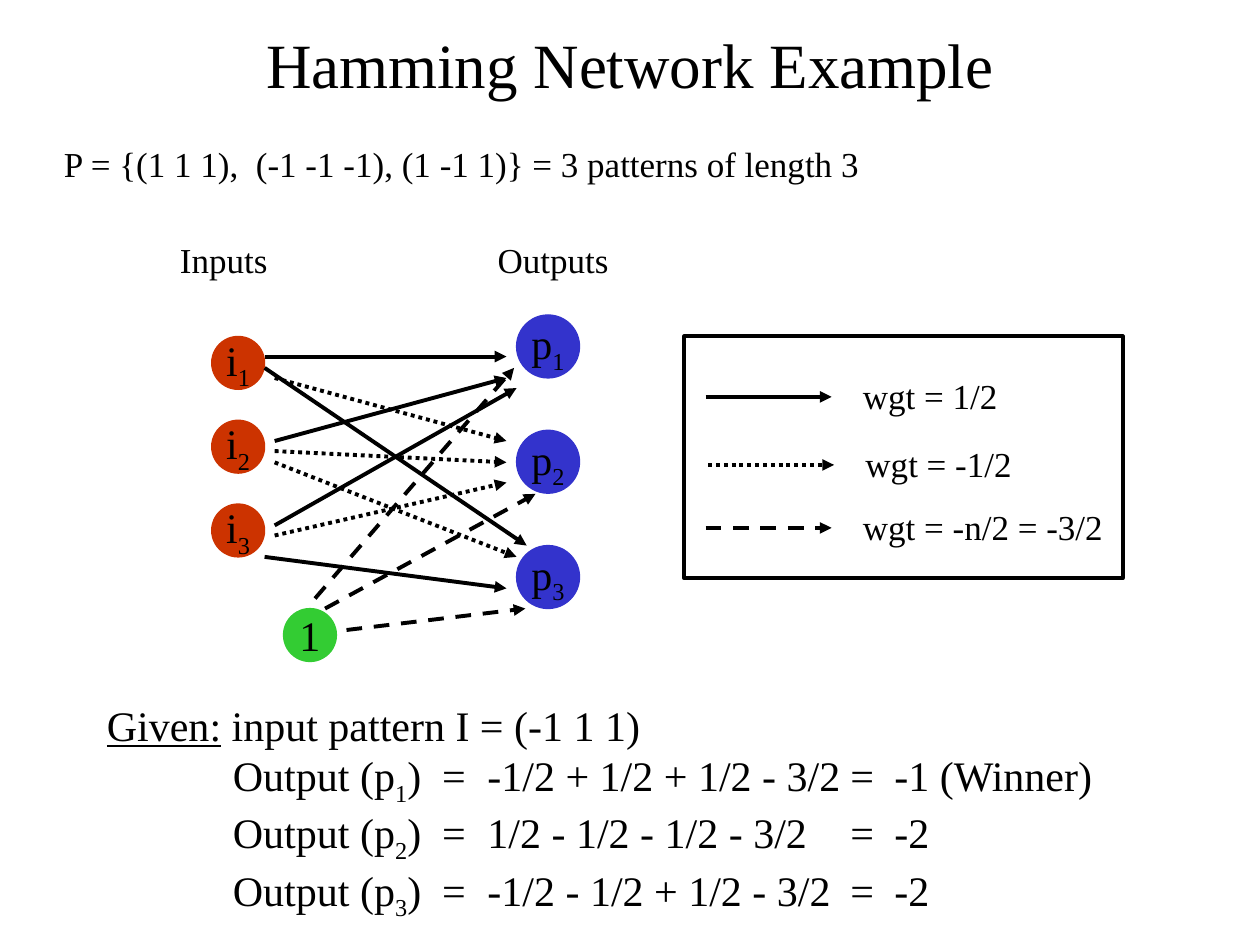
"""Build the Hamming network example slide."""
from pptx import Presentation
from pptx.dml.color import RGBColor
from pptx.enum.dml import MSO_LINE_DASH_STYLE as DASH
from pptx.enum.shapes import MSO_CONNECTOR, MSO_SHAPE
from pptx.enum.text import MSO_ANCHOR, MSO_AUTO_SIZE, PP_ALIGN
from pptx.oxml.ns import qn
from pptx.util import Inches, Pt
from lxml.etree import SubElement

BLACK = RGBColor(0x00, 0x00, 0x00)
RED = RGBColor(0xCC, 0x33, 0x00)
BLUE = RGBColor(0x33, 0x33, 0xCC)
GREEN = RGBColor(0x33, 0xCC, 0x33)
FONT = "Times New Roman"


def add_run(paragraph, text, size, subscript=False):
    run = paragraph.add_run()
    run.text = text
    run.font.name = FONT
    run.font.size = Pt(size)
    run.font.color.rgb = BLACK
    if subscript:
        run._r.get_or_add_rPr().set("baseline", "-25000")
    return run


def add_arrow(start, end, dash):
    points = [Inches(value) for value in (*start, *end)]
    arrow = slide.shapes.add_connector(MSO_CONNECTOR.STRAIGHT, *points)
    arrow.line.color.rgb = BLACK
    arrow.line.width = Pt(2.25)
    if dash:
        arrow.line.dash_style = dash
    SubElement(arrow.line._get_or_add_ln(), qn("a:tailEnd"), type="triangle")
    SubElement(arrow._element.spPr, qn("a:effectLst"))


presentation = Presentation()
presentation.slide_width = Inches(10)
presentation.slide_height = Inches(7.5)
slide = presentation.slides.add_slide(presentation.slide_layouts[5])

title = slide.shapes.title
title.left, title.top = Inches(0.75), Inches(0.25)
title.width, title.height = Inches(8.5), Inches(0.5)
title.text_frame.vertical_anchor = MSO_ANCHOR.MIDDLE
title.text_frame.auto_size = MSO_AUTO_SIZE.NONE
title.text_frame.paragraphs[0].alignment = PP_ALIGN.CENTER
add_run(title.text_frame.paragraphs[0], "Hamming Network Example", 36)

labels = [
    ("P = {(1 1 1),  (-1 -1 -1), (1 -1 1)} = 3 patterns of length 3", 0.41, 1.08, 6.6),
    ("Inputs", 1.33, 1.84, 0.95),
    ("Outputs", 3.85, 1.84, 1.12),
    ("wgt = 1/2", 6.75, 2.92, 1.32),
    ("wgt = -1/2", 6.77, 3.46, 1.42),
    ("wgt = -n/2 = -3/2", 6.75, 3.96, 2.15),
]
for text, left, top, width in labels:
    label = slide.shapes.add_textbox(Inches(left), Inches(top), Inches(width), Inches(0.44))
    label.text_frame.word_wrap = False
    add_run(label.text_frame.paragraphs[0], text, 20)

nodes = [("1", "", 2.25, 4.83, 0.42, GREEN)]
for index in range(3):
    nodes.append(("i", str(index + 1), 1.68, 2.67 + index * 0.665, 0.42, RED))
    nodes.append(("p", str(index + 1), 4.1, 2.5 + index * 0.915, 0.5, BLUE))
for letter, number, left, top, size, color in nodes:
    node = slide.shapes.add_shape(
        MSO_SHAPE.OVAL, Inches(left), Inches(top), Inches(size), Inches(size))
    node.shadow.inherit = False
    node.fill.solid()
    node.fill.fore_color.rgb = color
    node.line.color.rgb = color
    node.line.width = Pt(0.75)
    node.text_frame.word_wrap = False
    node.text_frame.vertical_anchor = MSO_ANCHOR.MIDDLE
    paragraph = node.text_frame.paragraphs[0]
    paragraph.alignment = PP_ALIGN.CENTER
    add_run(paragraph, letter, 24)
    if number:
        add_run(paragraph, number, 24, subscript=True)

legend = slide.shapes.add_shape(
    MSO_SHAPE.RECTANGLE, Inches(5.43), Inches(2.67), Inches(3.48), Inches(1.92))
legend.shadow.inherit = False
legend.fill.background()
legend.line.color.rgb = BLACK
legend.line.width = Pt(2.25)

arrows = {
    None: [
        ((2.1, 2.83), (4.02, 2.83)), ((2.18, 3.5), (4.02, 3)),
        ((2.18, 4.17), (4.1, 3.08)), ((2.1, 4.42), (4.02, 4.67)),
        ((2.1, 2.92), (4.18, 4.33)), ((5.6, 3.15), (6.6, 3.15)),
    ],
    DASH.ROUND_DOT: [
        ((2.18, 3), (4.02, 3.5)), ((2.18, 3.58), (4.02, 3.67)),
        ((2.18, 4.25), (4.02, 3.83)), ((2.18, 3.67), (4.1, 4.42)),
        ((5.62, 3.69), (6.62, 3.69)),
    ],
    DASH.DASH: [
        ((2.75, 5), (4.17, 4.83)), ((2.58, 4.83), (4.25, 3.92)),
        ((2.5, 4.75), (4.08, 2.92)), ((5.6, 4.19), (6.6, 4.19)),
    ],
}
for dash, ends in arrows.items():
    for start, end in ends:
        add_arrow(start, end, dash)

results = slide.shapes.add_textbox(Inches(0.75), Inches(5.5), Inches(8.75), Inches(1.87))
results.text_frame.word_wrap = True
given = results.text_frame.paragraphs[0]
add_run(given, "Given:", 24).font.underline = True
add_run(given, " input pattern I = (-1 1 1)", 24)

outputs = [
    ("-1/2 + 1/2 + 1/2 - 3/2", "-1 (Winner)"),
    ("1/2 - 1/2 - 1/2 - 3/2", "-2"),
    ("-1/2 - 1/2 + 1/2 - 3/2", "-2"),
]
for number, (terms, total) in enumerate(outputs, start=1):
    paragraph = results.text_frame.add_paragraph()
    tabs = SubElement(paragraph._p.get_or_add_pPr(), qn("a:tabLst"))
    for stop in (1, 2.66, 3.02, 5.9, 6.25):
        SubElement(tabs, qn("a:tab"), pos=str(Inches(stop)), algn="l")
    add_run(paragraph, "\tOutput (p", 24)
    add_run(paragraph, str(number), 24, subscript=True)
    add_run(paragraph, f")\t=\t{terms}\t=\t{total}", 24)

presentation.save("out.pptx")
